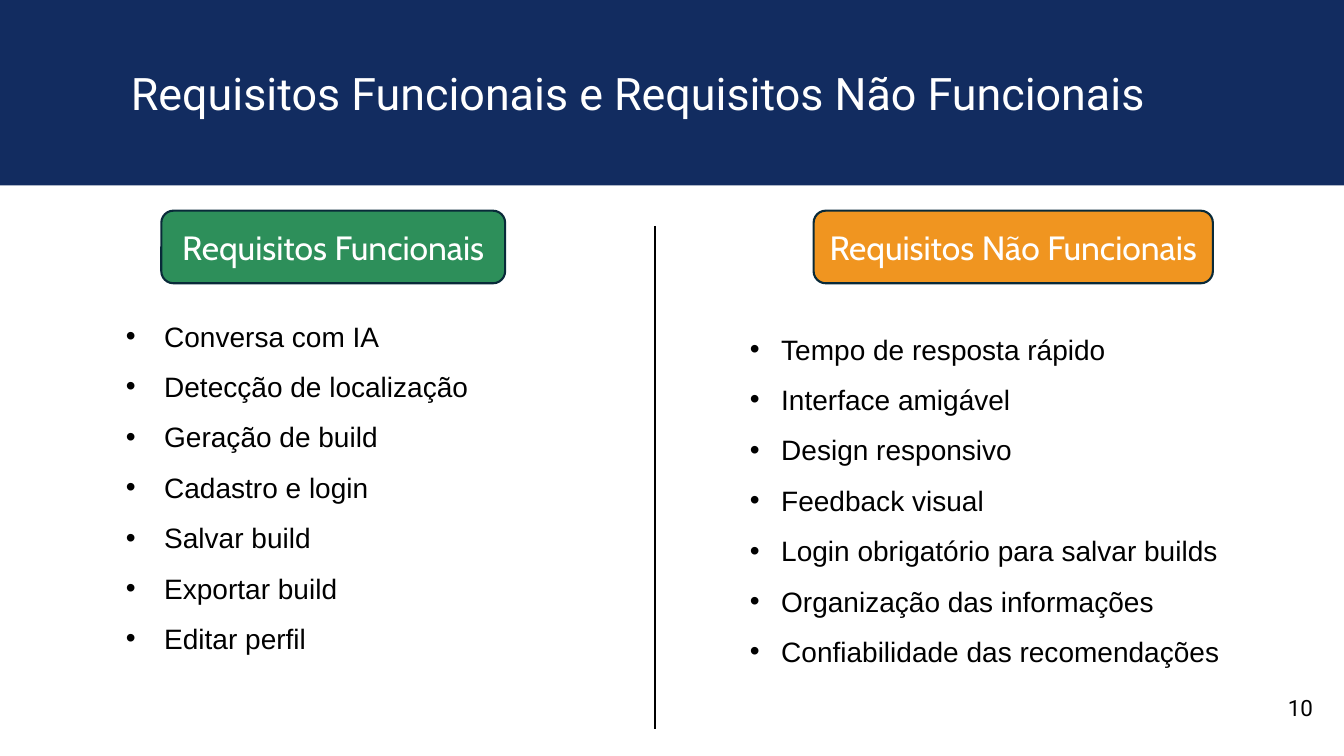
from dataclasses import dataclass

from lxml.etree import SubElement
from pptx import Presentation
from pptx.dml.color import RGBColor
from pptx.enum.shapes import MSO_CONNECTOR as Connector, MSO_SHAPE as Shape
from pptx.enum.text import MSO_ANCHOR as Anchor, PP_ALIGN as Align
from pptx.oxml.ns import qn
from pptx.util import Inches, Pt


@dataclass(frozen=True)
class Theme:
    navy: str = "122C60"
    green: str = "2D8F5A"
    orange: str = "F09520"
    outline: str = "092A39"
    black: str = "000000"
    white: str = "FFFFFF"
    title_size: int = 32
    label_size: int = 24
    body_size: int = 20
    number_size: int = 16
    title_font: str = "Roboto"
    label_font: str = "Cabin"
    body_font: str = "Arial"
    line_width: float = 1.5


def write(para, text, *, font, size, color, align=Align.LEFT, spacing=None):
    """Put formatted text into a paragraph."""
    para.alignment = align
    if spacing:
        para.line_spacing = spacing
    span = para.add_run()
    span.text = text
    span.font.name = font
    span.font.size = Pt(size)
    span.font.color.rgb = RGBColor.from_string(color)


def add_bullet(para, indent):
    """Give a paragraph a round bullet with a hanging indent."""
    properties = para._p.get_or_add_pPr()
    properties.set("marL", str(Inches(indent)))
    properties.set("indent", str(-Inches(indent)))
    SubElement(properties, qn("a:buFont"), typeface="Arial")
    SubElement(properties, qn("a:buChar"), char="•")


class SlideBuilder:
    def __init__(self, page, theme):
        self.page = page
        self.theme = theme

    def shape(self, kind, place, fill, outline=None):
        box = self.page.shapes.add_shape(kind, *map(Inches, place))
        box.shadow.inherit = False
        box.fill.solid()
        box.fill.fore_color.rgb = RGBColor.from_string(fill)
        if outline:
            box.line.color.rgb = RGBColor.from_string(outline)
            box.line.width = Pt(self.theme.line_width)
        else:
            box.line.fill.background()
        return box

    def label(self, place, text, fill):
        box = self.shape(Shape.ROUNDED_RECTANGLE, place, fill, self.theme.outline)
        frame = box.text_frame
        frame.word_wrap = True
        frame.vertical_anchor = Anchor.MIDDLE
        write(frame.paragraphs[0], text, font=self.theme.label_font,
              size=self.theme.label_size, color=self.theme.white, align=Align.CENTER)

    def text_frame(self, place, anchor=Anchor.TOP):
        frame = self.page.shapes.add_textbox(*map(Inches, place)).text_frame
        frame.word_wrap = True
        frame.vertical_anchor = anchor
        return frame

    def text(self, place, text, anchor=Anchor.TOP, **style):
        write(self.text_frame(place, anchor).paragraphs[0], text,
              font=self.theme.title_font, **style)

    def bullets(self, place, items, indent):
        frame = self.text_frame(place)
        for index, item in enumerate(items):
            para = frame.add_paragraph() if index else frame.paragraphs[0]
            add_bullet(para, indent)
            write(para, item, font=self.theme.body_font, size=self.theme.body_size,
                  color=self.theme.black, spacing=1.5)

    def divider(self, left, top, bottom):
        line = self.page.shapes.add_connector(
            Connector.STRAIGHT, *map(Inches, (left, top, left, bottom)))
        line.line.color.rgb = RGBColor.from_string(self.theme.black)
        line.line.width = Pt(self.theme.line_width)
        SubElement(line._element.spPr, qn("a:effectLst"))


def main():
    theme = Theme()
    deck = Presentation()
    deck.slide_width, deck.slide_height = Inches(13.33), Inches(7.5)
    builder = SlideBuilder(deck.slides.add_slide(deck.slide_layouts[6]), theme)

    # Header band, page number and title
    builder.shape(Shape.RECTANGLE, (0, 0, 13.33, 1.84), theme.navy)
    builder.text((12.56, 6.82, 0.56, 0.4), "10", Anchor.MIDDLE,
                 size=theme.number_size, color=theme.black, align=Align.RIGHT)
    builder.text((1.2, 0.6, 10.94, 0.64),
                 "Requisitos Funcionais e Requisitos Não Funcionais",
                 size=theme.title_size, color=theme.white)

    # Functional requirements
    builder.label((1.6, 2.09, 3.41, 0.72), "Requisitos Funcionais", theme.green)
    builder.bullets((1.15, 2.95, 4.31, 3.57), (
        "Conversa com IA",
        "Detecção de localização",
        "Geração de build",
        "Cadastro e login",
        "Salvar build",
        "Exportar build",
        "Editar perfil",
    ), indent=0.38)

    # Non-functional requirements
    builder.label((8.07, 2.09, 3.96, 0.72), "Requisitos Não Funcionais", theme.orange)
    builder.bullets((7.34, 3.08, 5.4, 3.57), (
        "Tempo de resposta rápido",
        "Interface amigável",
        "Design responsivo",
        "Feedback visual",
        "Login obrigatório para salvar builds",
        "Organização das informações",
        "Confiabilidade das recomendações",
    ), indent=0.31)

    # Line between the two columns
    builder.divider(6.5, 2.24, 7.23)

    deck.save("out.pptx")


if __name__ == "__main__":
    main()
